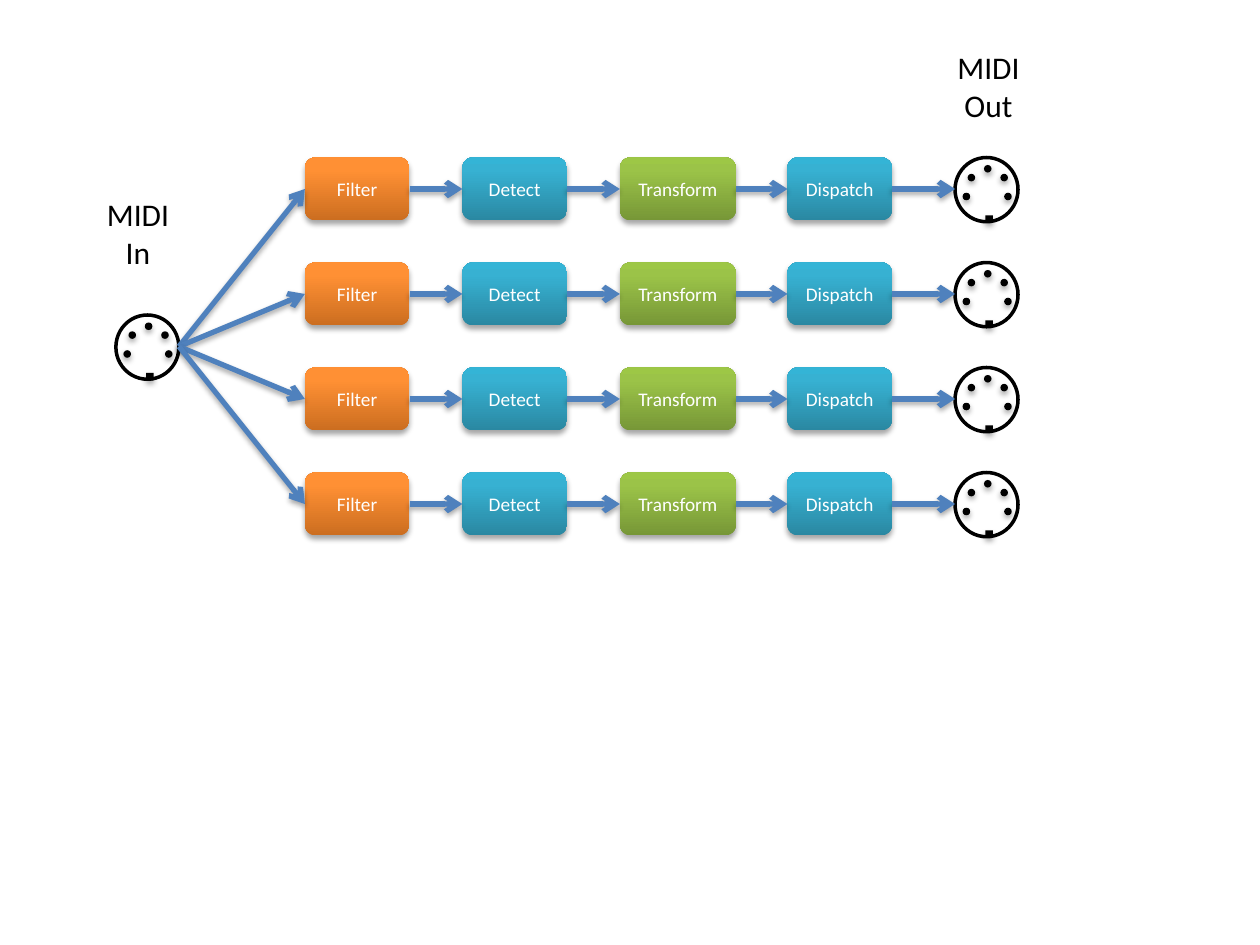
"""Draw four parallel MIDI processing chains from one input to four outputs."""
from pptx import Presentation
from pptx.dml.color import RGBColor as RGB
from pptx.enum.shapes import MSO_CONNECTOR as LINE, MSO_SHAPE as SHAPE
from pptx.enum.text import MSO_ANCHOR as ANCHOR, MSO_AUTO_SIZE as FIT, PP_ALIGN as ALIGN
from pptx.oxml import parse_xml
from pptx.oxml.ns import nsdecls
from pptx.util import Inches, Pt

COLORS = {"black": "000000", "white": "FFFFFF", "arrow": "4F81BD"}
FADES = {
    "orange": ("CC6E20", "FF9034", "FF9136"),
    "blue": ("2A88A2", "37B1D2", "34B4D6"),
    "green": ("779737", "9BC348", "9DC746"),
}
STEPS = [
    ("Filter", 2.42, 0.83, "orange"),
    ("Detect", 3.67, 0.83, "blue"),
    ("Transform", 4.92, 0.92, "green"),
    ("Dispatch", 6.25, 0.83, "blue"),
]
PINS = [(0.23, 0.06), (0.06, 0.28), (0.39, 0.28), (0.36, 0.13), (0.1, 0.13)]
PORTS = [(0.92, 2.5)] + [(7.58, 1.25 + row * 2.5 / 3) for row in range(4)]
LABELS = [("In", 0.75, 1.5), ("Out", 7.5, 0.33)]
STYLE = {"name": "Calibri", "size": Pt(11)}
LARGE = {"name": "Calibri", "size": Pt(18)}
ROUND, PIN = 0.5, 0.06


def shade(shape):
    shape._element.spPr.append(parse_xml(
        f'<a:effectLst {nsdecls("a")}>'
        '<a:outerShdw blurRad="40000" dist="23000" dir="5400000" rotWithShape="0">'
        f'<a:srgbClr val="{COLORS["black"]}"><a:alpha val="35000"/></a:srgbClr>'
        '</a:outerShdw></a:effectLst>'))


def arrow(start, end):
    link = slide.shapes.add_connector(LINE.STRAIGHT, *map(Inches, start + end))
    link.line.color.rgb = RGB.from_string(COLORS["arrow"])
    link.line.width = Pt(3)
    link.line._get_or_add_ln().append(
        parse_xml(f'<a:tailEnd {nsdecls("a")} type="arrow"/>'))
    shade(link)
    return link


deck = Presentation()
deck.slide_width, deck.slide_height = Inches(10), Inches(7.5)
slide = deck.slides.add_slide(deck.slide_layouts[6])

for left, top in PORTS:
    port = slide.shapes.add_group_shape()
    ring = port.shapes.add_shape(
        SHAPE.OVAL, Inches(left), Inches(top), Inches(ROUND), Inches(0.51))
    ring.shadow.inherit = False
    ring.fill.solid()
    ring.fill.fore_color.rgb = RGB.from_string(COLORS["white"])
    ring.line.color.rgb = RGB.from_string(COLORS["black"])
    ring.line.width = Pt(2)
    marks = [(SHAPE.OVAL, x, y) for x, y in PINS] + [(SHAPE.RECTANGLE, 0.24, 0.46)]
    for kind, x, y in marks:
        pin = port.shapes.add_shape(
            kind, Inches(left + x), Inches(top + y), Inches(PIN), Inches(PIN))
        pin.fill.solid()
        pin.fill.fore_color.rgb = RGB.from_string(COLORS["black"])
        pin.line.fill.background()
        shade(pin)

source = (PORTS[0][0] + ROUND, PORTS[0][1] + ROUND / 2)
for left, top in PORTS[1:]:
    mid = top + 0.25
    chain = []
    for name, x, width, fade in STEPS:
        box = slide.shapes.add_shape(
            SHAPE.FLOWCHART_ALTERNATE_PROCESS,
            Inches(x), Inches(top), Inches(width), Inches(0.5))
        stops = "".join(
            f'<a:gs pos="{pos}"><a:srgbClr val="{tone}"/></a:gs>'
            for pos, tone in zip((0, 80000, 100000), FADES[fade]))
        box._element.spPr.insert(2, parse_xml(
            f'<a:gradFill {nsdecls("a")} rotWithShape="1"><a:gsLst>{stops}</a:gsLst>'
            '<a:lin ang="16200000" scaled="0"/></a:gradFill>'))
        box.line.fill.background()
        shade(box)
        frame = box.text_frame
        frame.text = name
        frame.vertical_anchor = ANCHOR.MIDDLE
        para = frame.paragraphs[0]
        para.alignment = ALIGN.CENTER
        font = para.runs[0].font
        for key, value in STYLE.items():
            setattr(font, key, value)
        font.color.rgb = RGB.from_string(COLORS["white"])
        chain.append(box)
    arrow(source, (STEPS[0][1], mid)).end_connect(chain[0], 1)
    for prior, after in zip(chain, chain[1:]):
        link = arrow((0, mid), (1, mid))
        link.begin_connect(prior, 3)
        link.end_connect(after, 1)
    arrow((7.08, mid), (left, mid)).begin_connect(chain[-1], 3)

for word, left, top in LABELS:
    label = slide.shapes.add_textbox(
        Inches(left), Inches(top), Inches(0.7), Inches(0.71))
    frame = label.text_frame
    frame.text = f"MIDI\n{word}"
    frame.word_wrap = False
    frame.auto_size = FIT.SHAPE_TO_FIT_TEXT
    frame.paragraphs[1].alignment = ALIGN.CENTER
    for para in frame.paragraphs:
        font = para.runs[0].font
        for key, value in LARGE.items():
            setattr(font, key, value)
        font.color.rgb = RGB.from_string(COLORS["black"])

deck.save("out.pptx")
